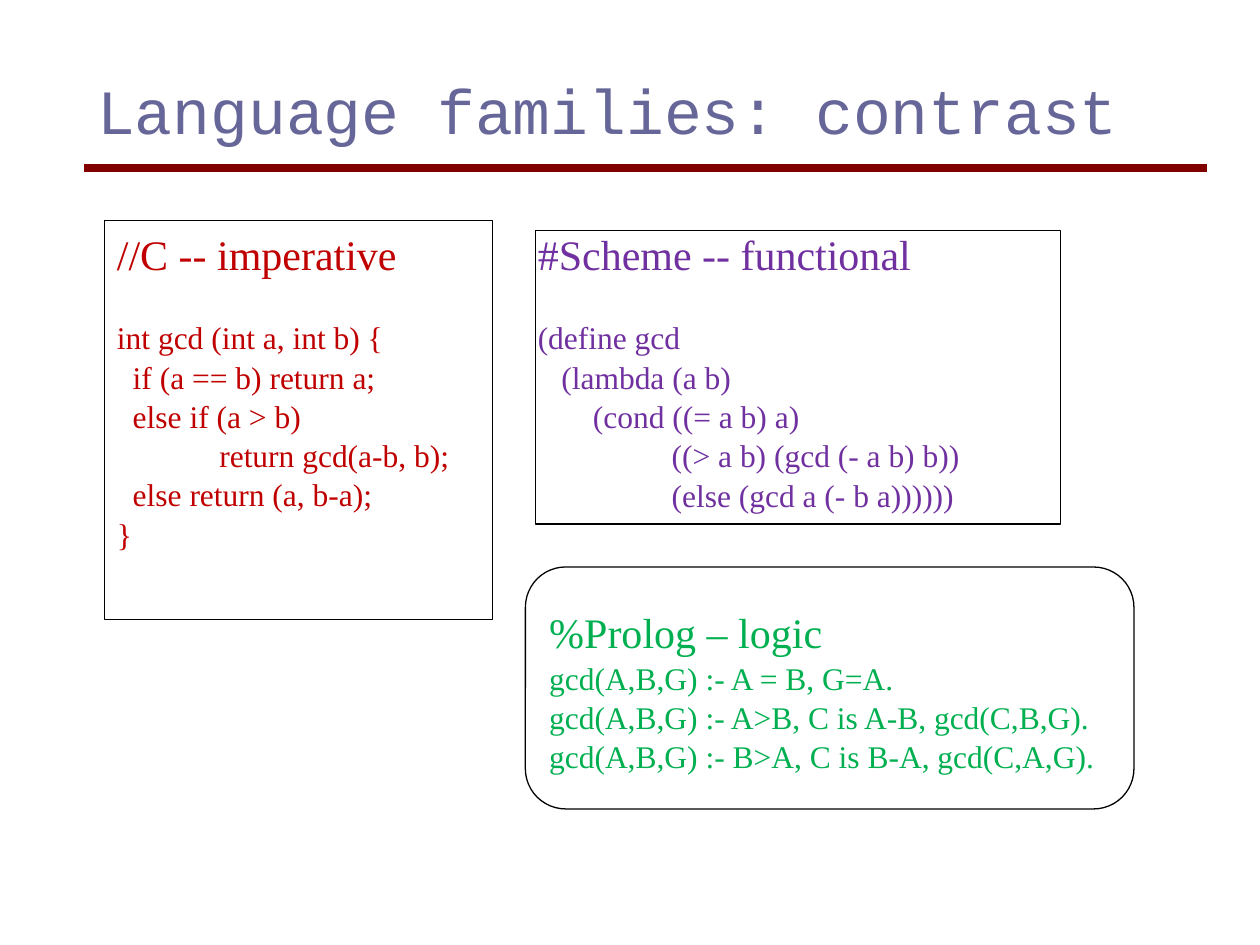
from pptx import Presentation
from pptx.dml.color import RGBColor
from pptx.enum.shapes import MSO_CONNECTOR, MSO_SHAPE
from pptx.enum.text import MSO_ANCHOR, PP_ALIGN
from pptx.util import Inches, Pt
from lxml.etree import SubElement
from pptx.oxml.ns import qn

BLACK = RGBColor(0x00, 0x00, 0x00)
MAROON = RGBColor(0x80, 0x00, 0x00)
SLATE = RGBColor(0x66, 0x66, 0x99)
RED = RGBColor(0xC0, 0x00, 0x00)
PURPLE = RGBColor(0x70, 0x30, 0xA0)
GREEN = RGBColor(0x00, 0xB0, 0x50)

SPACE_WIDTH = Pt(4.5)
BLANK_LINE = Pt(21.6)

C_LINES = [
    (0, "int gcd (int a, int b) {"),
    (2, "if (a == b) return a;"),
    (2, "else if (a > b)"),
    (13, "return gcd(a-b, b);"),
    (2, "else return (a, b-a);"),
    (0, "}"),
]
SCHEME_LINES = [
    (0, "(define gcd"),
    (3, "(lambda (a b)"),
    (7, "(cond ((= a b) a)"),
    (17, "((> a b) (gcd (- a b) b))"),
    (17, "(else (gcd a (- b a))))))"),
]
PROLOG_LINES = [
    (0, "gcd(A,B,G) :- A = B, G=A."),
    (0, "gcd(A,B,G) :- A>B, C is A-B, gcd(C,B,G)."),
    (0, "gcd(A,B,G) :- B>A, C is B-A, gcd(C,A,G)."),
]


def inches(*lengths):
    """Turn plain numbers into slide lengths."""
    return [Inches(length) for length in lengths]


def style(para, size, color, font="Times New Roman"):
    """Format every run of a paragraph."""
    for span in para.runs:
        span.font.size = Pt(size)
        span.font.name = font
        span.font.color.rgb = color


def set_title(page, text):
    """Fill and place the title."""
    title = page.shapes.title
    title.left, title.top, title.width, title.height = inches(0.67, 0.42, 8.92, 1.25)
    frame = title.text_frame
    frame.text = text
    frame.vertical_anchor = MSO_ANCHOR.TOP
    frame.margin_top = Inches(0.15)
    para = frame.paragraphs[0]
    para.alignment = PP_ALIGN.LEFT
    style(para, 36, SLATE, "Courier New")


def add_rule(page):
    """Draw the thick rule under the title."""
    rule = page.shapes.add_connector(MSO_CONNECTOR.STRAIGHT, *inches(0.67, 1.33, 9.58, 1.33))
    rule.line.color.rgb = MAROON
    rule.line.width = Pt(4.5)
    SubElement(rule._element.spPr, qn("a:effectLst"))


def add_code(page, place, heading, lines, color, gap=0):
    """Write a heading and its indented code lines."""
    box = page.shapes.add_textbox(*inches(*place))
    frame = box.text_frame
    frame.word_wrap = True
    first = frame.paragraphs[0]
    first.text = heading
    first.line_spacing = 1.04
    first.space_after = gap
    style(first, 24, color)
    for spaces, text in lines:
        para = frame.add_paragraph()
        para.text = text
        para.line_spacing = 1.04
        para._p.get_or_add_pPr().set("marL", str(int(spaces * SPACE_WIDTH)))
        style(para, 18, color)


def add_border(page, kind, place):
    """Outline a code sample."""
    border = page.shapes.add_shape(kind, *inches(*place))
    border.shadow.inherit = False
    border.fill.background()
    border.line.color.rgb = BLACK
    border.line.width = Pt(0.75)


def main():
    """Build the slide and save it."""
    deck = Presentation()
    deck.slide_width, deck.slide_height = inches(10, 7.5)
    page = deck.slides.add_slide(deck.slide_layouts[5])
    add_rule(page)
    set_title(page, "Language families: contrast")
    add_code(page, (0.83, 1.75, 2.92, 3.03), "//C -- imperative", C_LINES, RED, BLANK_LINE)
    add_border(page, MSO_SHAPE.RECTANGLE, (0.83, 1.75, 3.08, 3.17))
    add_code(page, (4.17, 1.75, 4.33, 2.32), "#Scheme -- functional", SCHEME_LINES, PURPLE, BLANK_LINE)
    add_border(page, MSO_SHAPE.RECTANGLE, (4.25, 1.83, 4.17, 2.33))
    add_code(page, (4.26, 4.75, 4.75, 1.41), "%Prolog – logic", PROLOG_LINES, GREEN)
    add_border(page, MSO_SHAPE.ROUNDED_RECTANGLE, (4.17, 4.5, 4.83, 1.92))
    deck.save("out.pptx")


if __name__ == "__main__":
    main()
